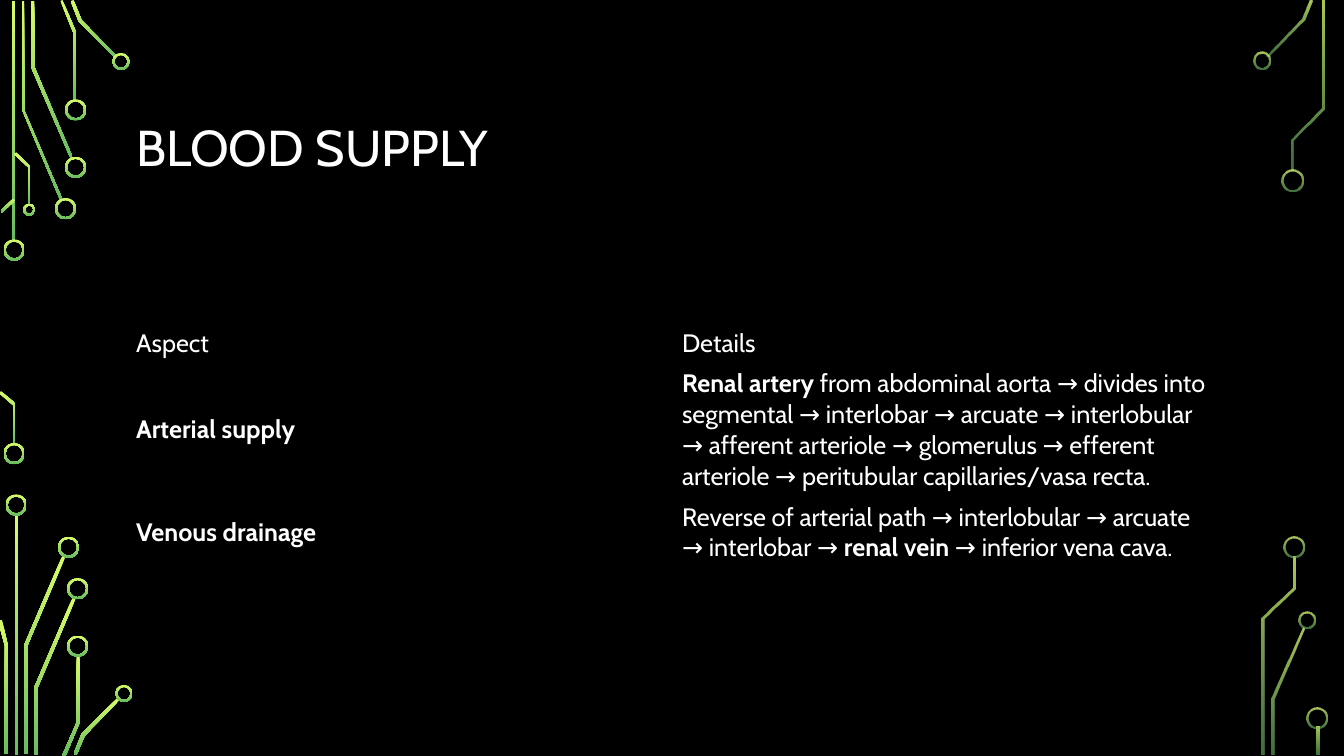
from lxml.etree import SubElement
from pptx import Presentation
from pptx.dml.color import RGBColor
from pptx.enum.shapes import MSO_SHAPE
from pptx.enum.text import MSO_ANCHOR, MSO_AUTO_SIZE, PP_ALIGN
from pptx.oxml.ns import qn
from pptx.util import Inches, Pt

BLACK = RGBColor(0x00, 0x00, 0x00)
WHITE = RGBColor(0xFF, 0xFF, 0xFF)
LIME = RGBColor(0xD8, 0xFC, 0x68)
GREEN = RGBColor(0x66, 0xBD, 0x5F)

TITLE = "BLOOD SUPPLY"
BLOOD_SUPPLY = [
    ([("Aspect", False)], [("Details", False)]),
    (
        [("Arterial supply", True)],
        [
            ("Renal artery", True),
            (" from abdominal aorta → divides into segmental → interlobar → arcuate"
             " → interlobular → afferent arteriole → glomerulus → efferent arteriole"
             " → peritubular capillaries/vasa recta.", False),
        ],
    ),
    (
        [("Venous drainage", True)],
        [
            ("Reverse of arterial path → interlobular → arcuate → interlobar → ", False),
            ("renal vein", True),
            (" → inferior vena cava.", False),
        ],
    ),
]
ROW_HEIGHTS = [0.4, 1.32, 0.71]

LEFT_CIRCUIT = {
    "opacity": (100, 100),
    "bars": [(0.12, 0.01, 0.03, 2.39), (0.15, 5.1, 0.03, 2.39)],
    "rings": [
        (0.14, 2.48, 0.21), (0.14, 4.5, 0.21), (0.65, 2.07, 0.21),
        (0.75, 1.66, 0.21), (0.75, 1.09, 0.21), (1.2, 0.61, 0.17),
        (0.29, 2.08, 0.12), (0.16, 5.01, 0.21), (0.68, 5.43, 0.21),
        (0.77, 5.84, 0.21), (0.77, 6.41, 0.21), (1.23, 6.88, 0.17),
    ],
    "traces": [
        [(0.6, 1.99), (0.22, 1.09), (0.22, 0.01), (0.24, 0.01), (0.24, 1.09), (0.62, 1.98)],
        [(0.7, 1.57), (0.31, 0.67), (0.31, 0.01), (0.34, 0.01), (0.34, 0.66), (0.72, 1.56)],
        [(0.76, 1), (0.73, 1), (0.73, 0.33), (0.6, 0.01), (0.62, 0), (0.76, 0.33)],
        [(1.15, 0.58), (0.78, 0.21), (0.7, 0.01), (0.73, 0), (0.81, 0.2), (1.16, 0.56)],
        [(0.02, 2.11), (0.01, 2.09), (0.13, 1.97), (0.15, 1.99)],
        [(0.15, 4.41), (0.13, 4.41), (0.13, 4.02), (-0.01, 3.9), (0.01, 3.88), (0.15, 4)],
        [(0.3, 2.03), (0.28, 2.03), (0.28, 1.66), (0.14, 1.53), (0.16, 1.51), (0.3, 1.65)],
        [(0.27, 7.48), (0.24, 7.48), (0.24, 6.4), (0.62, 5.51), (0.65, 5.52), (0.27, 6.41)],
        [(0.08, 7.48), (0.05, 7.48), (0.05, 6.41), (-0.02, 6.16), (0.02, 6.15), (0.08, 6.41)],
        [(0.37, 7.49), (0.34, 7.49), (0.34, 6.82), (0.72, 5.93), (0.75, 5.94), (0.37, 6.83)],
        [(0.65, 7.5), (0.62, 7.49), (0.76, 7.17), (0.76, 6.5), (0.79, 6.5), (0.79, 7.17)],
        [(0.76, 7.49), (0.73, 7.48), (0.81, 7.28), (1.17, 6.92), (1.19, 6.94), (0.84, 7.3)],
    ],
}
RIGHT_CIRCUIT = {
    "opacity": (80, 60),
    "bars": [(13.06, 7.21, 0.03, 0.28)],
    "rings": [
        (12.52, 0.6, 0.17), (12.82, 1.79, 0.21), (12.96, 6.15, 0.17),
        (12.83, 5.43, 0.21), (13.06, 7.12, 0.21),
    ],
    "traces": [
        [(12.58, 0.56), (12.56, 0.55), (12.91, 0.19), (12.99, 0), (13.02, 0.01), (12.94, 0.2)],
        [(12.64, 7.49), (12.61, 7.49), (12.61, 6.93), (12.92, 6.23), (12.94, 6.24), (12.64, 6.94)],
        [(12.83, 1.69), (12.81, 1.69), (12.81, 1.38), (13.11, 1.07),
         (13.11, 0.01), (13.14, 0.01), (13.14, 1.08), (12.83, 1.39)],
        [(12.54, 7.49), (12.51, 7.49), (12.51, 6.13), (12.82, 5.83),
         (12.82, 5.52), (12.85, 5.52), (12.85, 5.84), (12.54, 6.14)],
    ],
}
RING_THICKNESS = 0.02
NO_STYLE_NO_GRID = "{2D5ABB26-0587-4C30-8999-92F81FD0307C}"

TITLE_FONT = {"name": "Cabin", "size": Pt(36), "bold": False}
CELL_FONT = {"name": "Cabin", "size": Pt(18)}
TITLE_PLACE = {"left": Inches(1.25), "top": Inches(0.68),
               "width": Inches(10.83), "height": Inches(1.62)}
TITLE_FRAME = {"vertical_anchor": MSO_ANCHOR.MIDDLE, "word_wrap": True,
               "auto_size": MSO_AUTO_SIZE.NONE}
TITLE_PARAGRAPH = {"alignment": PP_ALIGN.LEFT, "line_spacing": 0.9}
TABLE_FLAGS = {"first_row": False, "horz_banding": False}


def apply(target, values):
    for key, value in values.items():
        setattr(target, key, value)


def style_font(font, values):
    apply(font, values)
    font.color.rgb = WHITE


def paint(part, opacity):
    part.shadow.inherit = False
    part.line.fill.background()
    part.fill.gradient()
    part.fill.gradient_angle = 270
    for stop, color, position, percent in zip(
            part.fill.gradient_stops, (LIME, GREEN), (0, 1), opacity):
        stop.color.rgb = color
        stop.position = position
        if percent < 100:
            rgb = part.fill._fill._gradFill.findall(".//" + qn("a:srgbClr"))[position]
            SubElement(rgb, qn("a:alpha"), val=str(percent * 1000))


def draw_circuit(shapes, circuit):
    for bar in circuit["bars"]:
        paint(shapes.add_shape(MSO_SHAPE.RECTANGLE, *map(Inches, bar)), circuit["opacity"])
    for outline in circuit["traces"]:
        start, *others = [(Inches(x), Inches(y)) for x, y in outline]
        builder = shapes.build_freeform(*start)
        builder.add_line_segments(others, close=True)
        paint(builder.convert_to_shape(), circuit["opacity"])
    for x, y, diameter in circuit["rings"]:
        box = (x - diameter / 2, y - diameter / 2, diameter, diameter)
        ring = shapes.add_shape(MSO_SHAPE.DONUT, *map(Inches, box))
        ring.adjustments[0] = RING_THICKNESS / diameter
        paint(ring, circuit["opacity"])


def add_title(slide):
    title = slide.shapes.title
    apply(title, TITLE_PLACE)
    apply(title.text_frame, TITLE_FRAME)
    title.text_frame.text = TITLE
    heading = title.text_frame.paragraphs[0]
    apply(heading, TITLE_PARAGRAPH)
    style_font(heading.runs[0].font, TITLE_FONT)


def add_supply_table(shapes):
    supply = shapes.add_table(
        len(BLOOD_SUPPLY), 2, Inches(1.25), Inches(3.2),
        Inches(10.83), Inches(sum(ROW_HEIGHTS))).table
    apply(supply, TABLE_FLAGS)
    supply._tbl.tblPr.find(qn("a:tableStyleId")).text = NO_STYLE_NO_GRID
    for row, height, entries in zip(supply.rows, ROW_HEIGHTS, BLOOD_SUPPLY):
        row.height = Inches(height)
        for cell, phrases in zip(row.cells, entries):
            cell.fill.background()
            cell.vertical_anchor = MSO_ANCHOR.MIDDLE
            for text, bold in phrases:
                phrase = cell.text_frame.paragraphs[0].add_run()
                phrase.text = text
                style_font(phrase.font, {**CELL_FONT, "bold": bold})


def main():
    deck = Presentation()
    deck.slide_width, deck.slide_height = Inches(13.33), Inches(7.5)
    slide = deck.slides.add_slide(deck.slide_layouts[5])
    slide.background.fill.solid()
    slide.background.fill.fore_color.rgb = BLACK
    for circuit in (LEFT_CIRCUIT, RIGHT_CIRCUIT):
        draw_circuit(slide.shapes, circuit)
    add_title(slide)
    add_supply_table(slide.shapes)
    deck.save("out.pptx")


if __name__ == "__main__":
    main()
